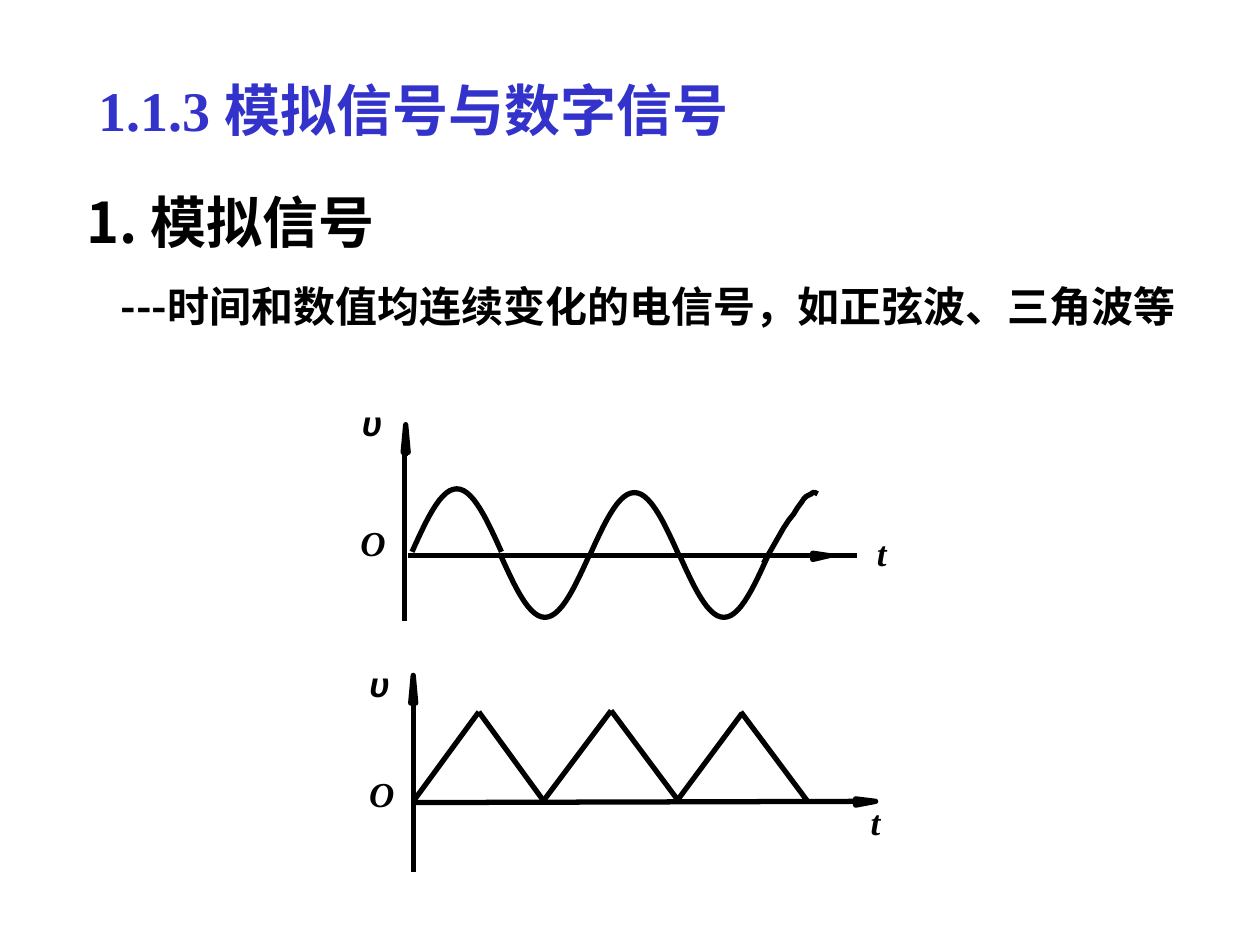
import math
from dataclasses import dataclass
from typing import Any

from lxml import etree
from pptx import Presentation
from pptx import util as u
from pptx.dml.color import RGBColor
from pptx.enum import shapes, text
from pptx.oxml import ns

BLACK = RGBColor(0x00, 0x00, 0x00)
BLUE = RGBColor(0x33, 0x33, 0xCC)
CJK = "Noto Sans CJK SC"
SERIF = "Times New Roman"
SANS = "Arial"

HALF_PERIOD = 0.71
# left end, baseline and signed height of each half wave
HALF_WAVES = [(3.27, 4.38, 0.5), (3.97, 4.4, -0.5), (4.68, 4.41, 0.5), (5.39, 4.4, -0.5)]
WAVE_END = [(6.06, 4.47), (6.14, 4.33), (6.22, 4.19), (6.26, 4.13), (6.3, 4.08),
            (6.33, 4.03), (6.36, 3.99), (6.38, 3.96), (6.4, 3.94), (6.42, 3.93),
            (6.44, 3.92), (6.45, 3.91), (6.47, 3.91), (6.49, 3.92)]
TRIANGLE_SIDES = [((3.28, 6.36), (3.8, 5.65)), ((3.8, 5.65), (4.31, 6.35)),
                  ((4.31, 6.36), (4.85, 5.64)), ((4.85, 5.64), (5.38, 6.35)),
                  ((5.37, 6.36), (5.89, 5.66)), ((5.88, 5.65), (6.41, 6.36))]


def add_run(paragraph, content, *, font=CJK, size=20, color=BLACK, bold=True, italic=False):
    run = paragraph.add_run()
    run.text = content
    run.font.name = font
    run.font.size = u.Pt(size)
    run.font.bold = bold
    run.font.italic = italic
    run.font.color.rgb = color
    east_asian = etree.SubElement(run.font._element, ns.qn("a:ea"))
    east_asian.set("typeface", font)


def half_wave(left, baseline, height, steps=26):
    return [(left + HALF_PERIOD * i / steps, baseline - height * math.sin(math.pi * i / steps))
            for i in range(steps + 1)]


@dataclass
class Drawing:
    """Line style plus the slide, and the group that shapes are added to."""
    slide: Any
    target: Any = None
    color: RGBColor = BLACK
    line_width: float = 3

    def start_group(self):
        self.target = self.slide.shapes.add_group_shape().shapes

    def end_group(self):
        self.target = None

    @property
    def shapes(self):
        return self.slide.shapes if self.target is None else self.target

    def style_line(self, shape):
        shape.line.color.rgb = self.color
        shape.line.width = u.Pt(self.line_width)

    def line(self, start, end):
        ends = [u.Inches(value) for value in (*start, *end)]
        connector = self.shapes.add_connector(shapes.MSO_CONNECTOR.STRAIGHT, *ends)
        self.style_line(connector)
        etree.SubElement(connector.element.spPr, ns.qn("a:effectLst"))

    def outline(self, points, filled=False):
        """Draw a freeform: a closed filled shape or an open curve."""
        corners = [(u.Inches(x), u.Inches(y)) for x, y in points]
        builder = self.shapes.build_freeform(*corners[0])
        builder.add_line_segments(corners[1:], close=filled)
        shape = builder.convert_to_shape()
        shape.shadow.inherit = False
        if filled:
            shape.fill.solid()
            shape.fill.fore_color.rgb = self.color
        else:
            shape.fill.background()
        self.style_line(shape)
        etree.SubElement(shape.element.spPr.find(ns.qn("a:ln")), ns.qn("a:round"))

    def up_arrow(self, x, tip):
        self.line((x, tip + 0.25), (x, tip))
        base = tip + 0.22
        self.outline([(x + 0.02, base), (x - 0.02, base), (x, tip)], filled=True)

    def right_arrow(self, left, tip, y):
        self.outline([(left, y + 0.03), (left, y - 0.02), (tip, y)], filled=True)

    def text(self, left, top, width, height, runs, *, wrap=True, inset=True,
             indent=0, line_spacing=None):
        box = self.shapes.add_textbox(*map(u.Inches, (left, top, width, height)))
        frame = box.text_frame
        frame.word_wrap = wrap
        frame.auto_size = text.MSO_AUTO_SIZE.SHAPE_TO_FIT_TEXT
        frame.margin_left = frame.margin_right = u.Inches(0.1 if inset else 0)
        frame.margin_top = frame.margin_bottom = u.Inches(0.05 if inset else 0)
        paragraph = frame.paragraphs[0]
        if line_spacing:
            paragraph.line_spacing = line_spacing
        if indent:
            properties = paragraph._p.get_or_add_pPr()
            properties.set("marL", str(u.Inches(indent)))
            properties.set("indent", str(-u.Inches(indent)))
        for content, style in runs:
            add_run(paragraph, content, **style)

    def axis_label(self, content, left, top, width, font=SERIF, wrap=False):
        self.text(left, top, width, 0.33, [(content, {"font": font, "italic": True})],
                  wrap=wrap, inset=False)


def draw_triangle_wave(drawing):
    drawing.start_group()
    drawing.line((3.28, 5.57), (3.28, 6.92))
    drawing.line((6.84, 6.36), (3.28, 6.37))
    for start, end in TRIANGLE_SIDES:
        drawing.line(start, end)
    drawing.line((6.76, 6.36), (6.95, 6.36))
    drawing.right_arrow(6.79, 6.95, 6.36)
    drawing.up_arrow(3.28, 5.36)
    drawing.axis_label("υ", 2.93, 5.26, 0.16, font=SANS)
    drawing.axis_label("O", 2.93, 6.13, 0.2)
    drawing.axis_label("t", 6.91, 6.35, 0.12, wrap=True)
    drawing.end_group()


def draw_sine_wave(drawing):
    drawing.start_group()
    drawing.line((3.27, 4.41), (6.65, 4.41))
    for left, baseline, height in HALF_WAVES:
        drawing.outline(half_wave(left, baseline, height))
    drawing.outline(WAVE_END)
    drawing.right_arrow(6.45, 6.58, 4.41)
    drawing.line((3.21, 3.58), (3.21, 4.93))
    drawing.line((6.8, 4.41), (3.24, 4.41))
    drawing.up_arrow(3.22, 3.37)
    drawing.axis_label("O", 2.86, 4.14, 0.2)
    drawing.axis_label("t", 6.96, 4.22, 0.12, wrap=True)
    drawing.axis_label("υ", 2.87, 3.19, 0.16, font=SANS)
    drawing.end_group()


def main():
    presentation = Presentation()
    presentation.slide_width = u.Inches(10)
    presentation.slide_height = u.Inches(7.5)
    drawing = Drawing(presentation.slides.add_slide(presentation.slide_layouts[6]))

    drawing.text(0.86, 2.02, 9.14, 0.66,
                 [("---时间和数值均连续变化的电信号，如正弦波、三角波等", {"size": 24})],
                 indent=0.5, line_spacing=1.4)
    draw_triangle_wave(drawing)
    draw_sine_wave(drawing)
    drawing.text(0.59, 1.44, 6.46, 0.64, [("1. 模拟信号", {"size": 32})])
    drawing.text(0.68, 0.55, 5.47, 0.64,
                 [("1.1.3 ", {"font": SERIF, "size": 32, "color": BLUE}),
                  ("模拟信号与数字信号", {"size": 32, "color": BLUE})], wrap=False)
    presentation.save("out.pptx")


if __name__ == "__main__":
    main()
